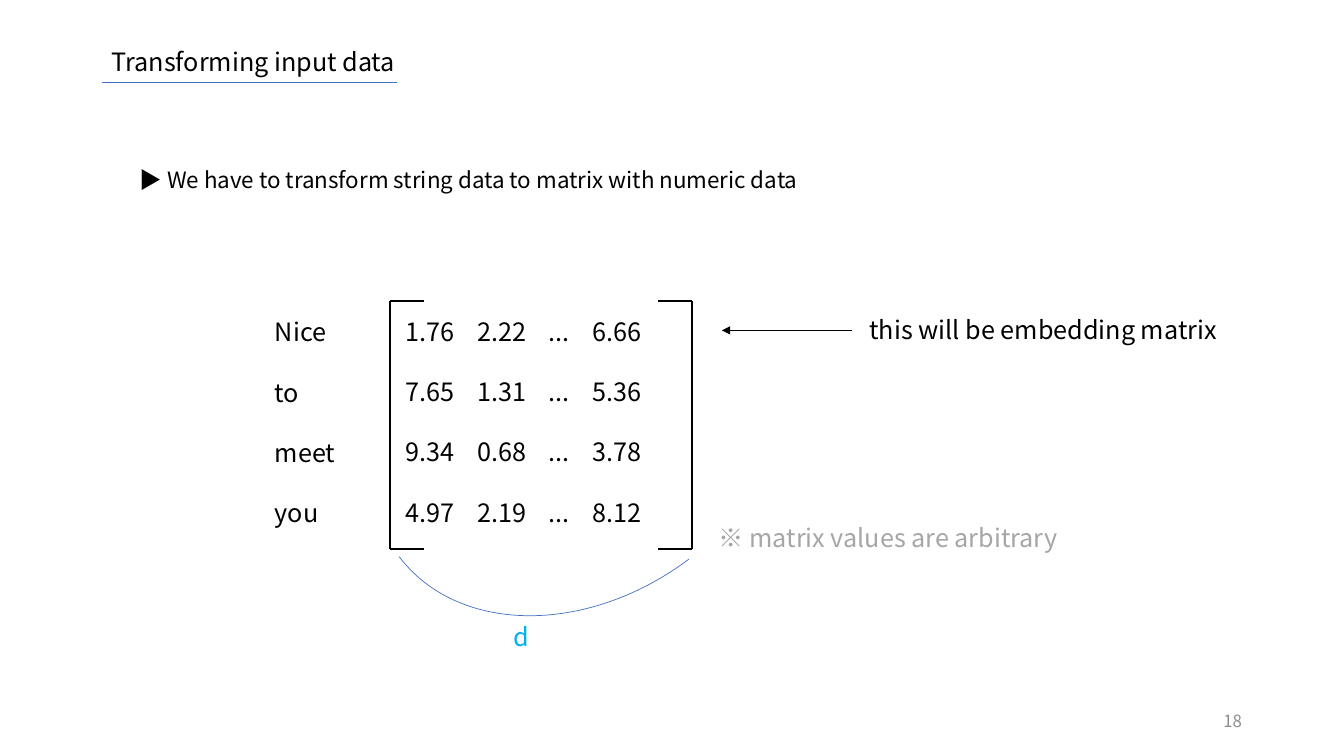
from dataclasses import dataclass

from lxml.etree import SubElement
from pptx import Presentation
from pptx.dml.color import RGBColor as Color
from pptx.enum.shapes import MSO_CONNECTOR as Connector, MSO_SHAPE as Shape
from pptx.enum.text import MSO_ANCHOR as Anchor, PP_ALIGN as Align
from pptx.oxml.ns import qn
from pptx.util import Pt


@dataclass(frozen=True)
class Theme:
    font: str = "Noto Sans CJK KR"
    ink: str = "000000"
    accent: str = "4472C4"
    cyan: str = "00B0F0"
    muted: str = "A6A6A6"
    footer: str = "8C8C8C"
    body: float = 18
    bullet: float = 16
    small: float = 12
    thin: float = 0.5
    bracket: float = 1.5


THEME = Theme()
ROW_GAP = 21.5
COLUMN_STOPS = (51.4, 102.2, 133.6)
WORDS = ("Nice", "to", "meet", "you")
VALUES = (
    ("1.76", "2.22", "...", "6.66"),
    ("7.65", "1.31", "...", "5.36"),
    ("9.34", "0.68", "...", "3.78"),
    ("4.97", "2.19", "...", "8.12"),
)


def add_text(page, box, lines, size=THEME.body, color=THEME.ink,
             align=Align.LEFT, anchor=Anchor.TOP, gap=0, stops=()):
    frame = page.shapes.add_textbox(*map(Pt, box)).text_frame
    frame.word_wrap = True
    frame.vertical_anchor = anchor
    for index, line in enumerate(lines):
        para = frame.paragraphs[0] if index == 0 else frame.add_paragraph()
        para.alignment = align
        if index and gap:
            para.space_before = Pt(gap)
        if stops:
            tabs = SubElement(para._p.get_or_add_pPr(), qn("a:tabLst"))
            for stop in stops:
                SubElement(tabs, qn("a:tab"), pos=str(Pt(stop)), algn="l")
        span = para.add_run()
        span.text = line
        span.font.name = THEME.font
        span.font.size = Pt(size)
        span.font.color.rgb = Color.from_string(color)
        SubElement(span.font._element, qn("a:ea"), typeface=THEME.font)


def add_line(page, start, end, color=THEME.ink, width=THEME.thin, arrow=False):
    line = page.shapes.add_connector(
        Connector.STRAIGHT, *map(Pt, (*start, *end)))
    line.line.color.rgb = Color.from_string(color)
    line.line.width = Pt(width)
    SubElement(line._element.spPr, qn("a:effectLst"))
    if arrow:
        SubElement(line.line._get_or_add_ln(), qn("a:tailEnd"), type="triangle")


def add_heading(page, box):
    left, top, width, height = box
    add_text(page, box, ["Transforming input data"])
    add_line(page, (left, top + 29.5), (left + 211, top + 29.5), THEME.accent)


def add_bracket(page, spine, tip, top, bottom):
    for start, end in (((spine, top), (tip, top)),
                       ((spine, top), (spine, bottom)),
                       ((spine, bottom), (tip, bottom))):
        add_line(page, start, end, width=THEME.bracket)


def add_matrix(page, box):
    left, top, width, height = box
    right, bottom = left + width, top + height
    add_text(page, (left - 89.3, top + 7.9, 124.6, 160), WORDS, gap=ROW_GAP)
    add_text(page, (left + 4.3, top + 7.5, 443.5, 160),
             ["\t".join(row) for row in VALUES], gap=ROW_GAP, stops=COLUMN_STOPS)
    add_bracket(page, left, left + 24.5, top, bottom)
    add_bracket(page, right, right - 24.5, top, bottom)


def add_dimension(page, box):
    left, top, width, height = box
    arc = page.shapes.add_shape(Shape.ARC, *map(Pt, box))
    arc.shadow.inherit = False
    arc.rotation = 143
    arc.fill.background()
    arc.line.color.rgb = Color.from_string(THEME.accent)
    arc.line.width = Pt(THEME.thin)
    add_text(page, (left + 108, top + 267.8, 46.8, 28.8), ["d"], color=THEME.cyan)


def add_notes(page, box):
    left, top, width, height = box
    add_line(page, (left + 102.2, top + 15), (left + 9.4, top + 15), arrow=True)
    add_text(page, (left + 107.8, top, 306.7, 28.8),
             ["this will be embedding matrix"])
    add_text(page, (left, top + height - 28.8, 266.4, 28.8),
             ["※ matrix values are arbitrary"], color=THEME.muted)


def main():
    deck = Presentation()
    deck.slide_width, deck.slide_height = Pt(960), Pt(540)
    page = deck.slides.add_slide(deck.slide_layouts[6])
    add_heading(page, (72.7, 29.5, 328.3, 28.8))
    add_text(page, (92.9, 115.2, 825.8, 26.6),
             ["▶ We have to transform string data to matrix with numeric data"],
             THEME.bullet)
    add_matrix(page, (278.6, 214.8, 216, 177.6))
    add_dimension(page, (252, 172.8, 328.3, 252))
    add_notes(page, (506.2, 221, 414.5, 177.2))
    add_text(page, (678.2, 500.4, 216, 28.8), ["18"], THEME.small,
             THEME.footer, Align.RIGHT, Anchor.MIDDLE)
    deck.save("out.pptx")


if __name__ == "__main__":
    main()
